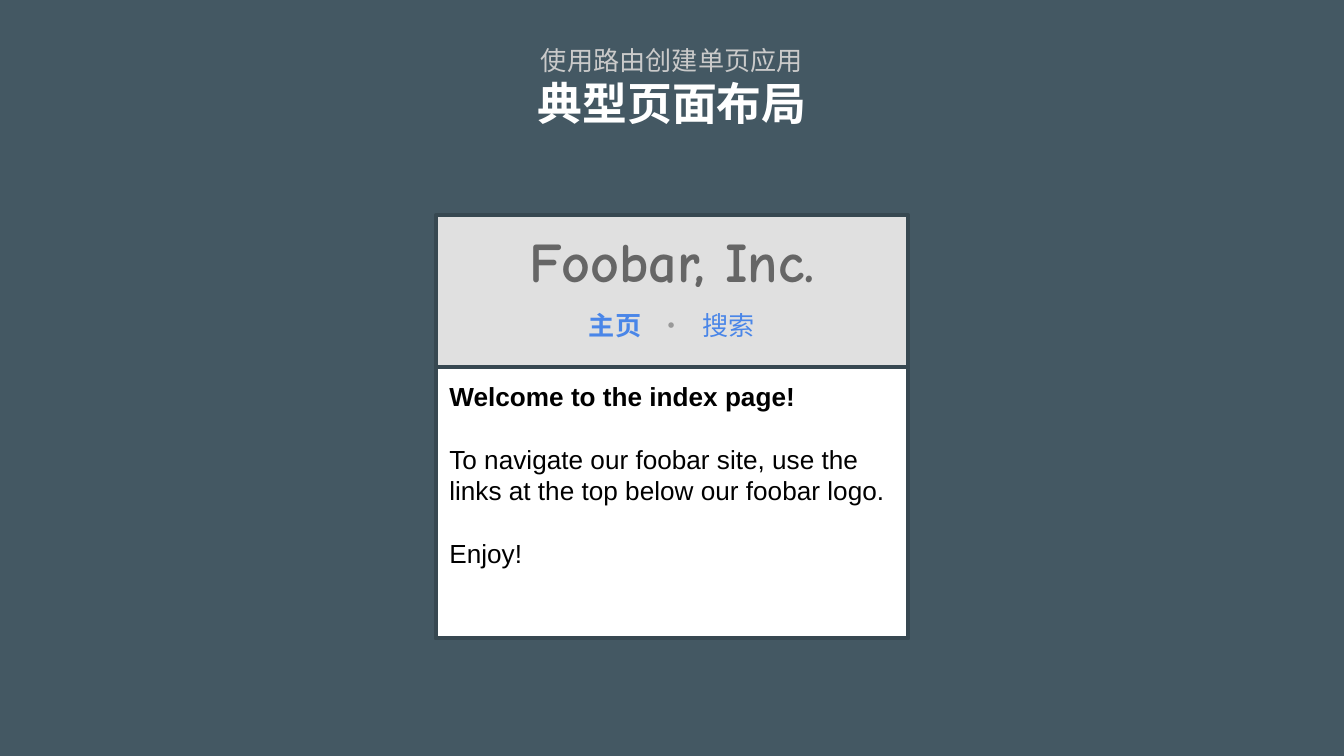
from pptx import Presentation
from pptx.dml.color import RGBColor
from pptx.enum.shapes import MSO_SHAPE
from pptx.enum.text import MSO_ANCHOR, MSO_AUTO_SIZE, PP_ALIGN
from pptx.util import Inches, Pt

COLORS = {
    "background": "445863", "subtitle": "CACACA", "title": "FFFFFF",
    "header": "E0E0E0", "border": "374851", "page": "FFFFFF",
    "link": "4A86E8", "dot": "999999", "logo": "666666", "text": "000000",
}
TITLE = [("使用路由创建单页应用", 14, "subtitle", False), ("典型页面布局", 24, "title", True)]
LOGO = "Foobar, Inc."
NAVIGATION = [("主页", "link", True), ("•", "dot", False), ("搜索", "link", False)]
BODY = [
    "Welcome to the index page!",
    "To navigate our foobar site, use the links at the top below our foobar logo.",
    "Enjoy!",
]
SLIDE_WIDTH = 10
SLIDE_HEIGHT = SLIDE_WIDTH * 9 / 16
PAGE_TOP, PAGE_WIDTH, PAGE_HEIGHT = 1.6, 3.51, 3.15
PAGE_LEFT = (SLIDE_WIDTH - PAGE_WIDTH) / 2
CONTENT_TOP = 2.73
LINE_PITCH = 16.8
GAP_SPACING = 620


def color(name):
    return RGBColor.from_string(COLORS[name])


def style(run, font, size, color_name, bold=False):
    run.font.name = font
    run.font.size = Pt(size)
    run.font.bold = bold
    run.font.color.rgb = color(color_name)


def prepare(shape, anchor=MSO_ANCHOR.MIDDLE):
    frame = shape.text_frame
    frame.word_wrap = True
    frame.auto_size = MSO_AUTO_SIZE.NONE
    frame.vertical_anchor = anchor
    frame.margin_left = frame.margin_right = Inches(0.1)
    frame.margin_top = frame.margin_bottom = Inches(0.1)
    return frame


def add_panel(slide, top, height, fill):
    panel = slide.shapes.add_shape(
        MSO_SHAPE.RECTANGLE, Inches(PAGE_LEFT), Inches(top), Inches(PAGE_WIDTH), Inches(height))
    panel.shadow.inherit = False
    panel.fill.solid()
    panel.fill.fore_color.rgb = color(fill)
    panel.line.color.rgb = color("border")
    panel.line.width = Pt(2.25)
    return panel


def add_centered_text(slide, top, height):
    box = slide.shapes.add_textbox(
        Inches(PAGE_LEFT), Inches(top), Inches(PAGE_WIDTH), Inches(height))
    paragraph = prepare(box).paragraphs[0]
    paragraph.alignment = PP_ALIGN.CENTER
    return paragraph


def add_title(slide):
    title = slide.shapes.title
    title.left, title.top = Inches(0.34), Inches(0.33)
    title.width, title.height = Inches(9.32), Inches(0.63)
    frame = prepare(title)
    frame.text = "\v".join(line[0] for line in TITLE)
    paragraph = frame.paragraphs[0]
    paragraph.alignment = PP_ALIGN.CENTER
    for run, (_, size, color_name, bold) in zip(paragraph.runs, TITLE):
        style(run, "Roboto", size, color_name, bold)


def add_navigation(slide):
    paragraph = add_centered_text(slide, 2.19, 0.45)
    for index, (text, color_name, bold) in enumerate(NAVIGATION):
        if index:
            gap = paragraph.add_run()
            gap.text = " "
            style(gap, "Arial", 14, color_name)
            gap._r.get_or_add_rPr().set("spc", str(GAP_SPACING))
        run = paragraph.add_run()
        run.text = text
        style(run, "Arial", 14, color_name, bold)


def add_logo(slide):
    paragraph = add_centered_text(slide, PAGE_TOP, 0.67)
    paragraph.text = LOGO
    style(paragraph.runs[0], "Comic Neue", 30, "logo", True)


def add_content(slide):
    panel = add_panel(slide, CONTENT_TOP, PAGE_TOP + PAGE_HEIGHT - CONTENT_TOP, "page")
    frame = prepare(panel, MSO_ANCHOR.TOP)
    frame.text = "\n".join(BODY)
    for index, paragraph in enumerate(frame.paragraphs):
        paragraph.alignment = PP_ALIGN.LEFT
        paragraph.line_spacing = Pt(LINE_PITCH)
        paragraph.space_before = Pt(LINE_PITCH if index else 0)
        style(paragraph.runs[0], "Arial", 14, "text", index == 0)


def main():
    presentation = Presentation()
    presentation.slide_width = Inches(SLIDE_WIDTH)
    presentation.slide_height = Inches(SLIDE_HEIGHT)
    slide = presentation.slides.add_slide(presentation.slide_layouts[5])
    slide.background.fill.solid()
    slide.background.fill.fore_color.rgb = color("background")
    add_title(slide)
    add_panel(slide, PAGE_TOP, PAGE_HEIGHT, "header")
    add_navigation(slide)
    add_logo(slide)
    add_content(slide)
    presentation.save("out.pptx")


if __name__ == "__main__":
    main()
